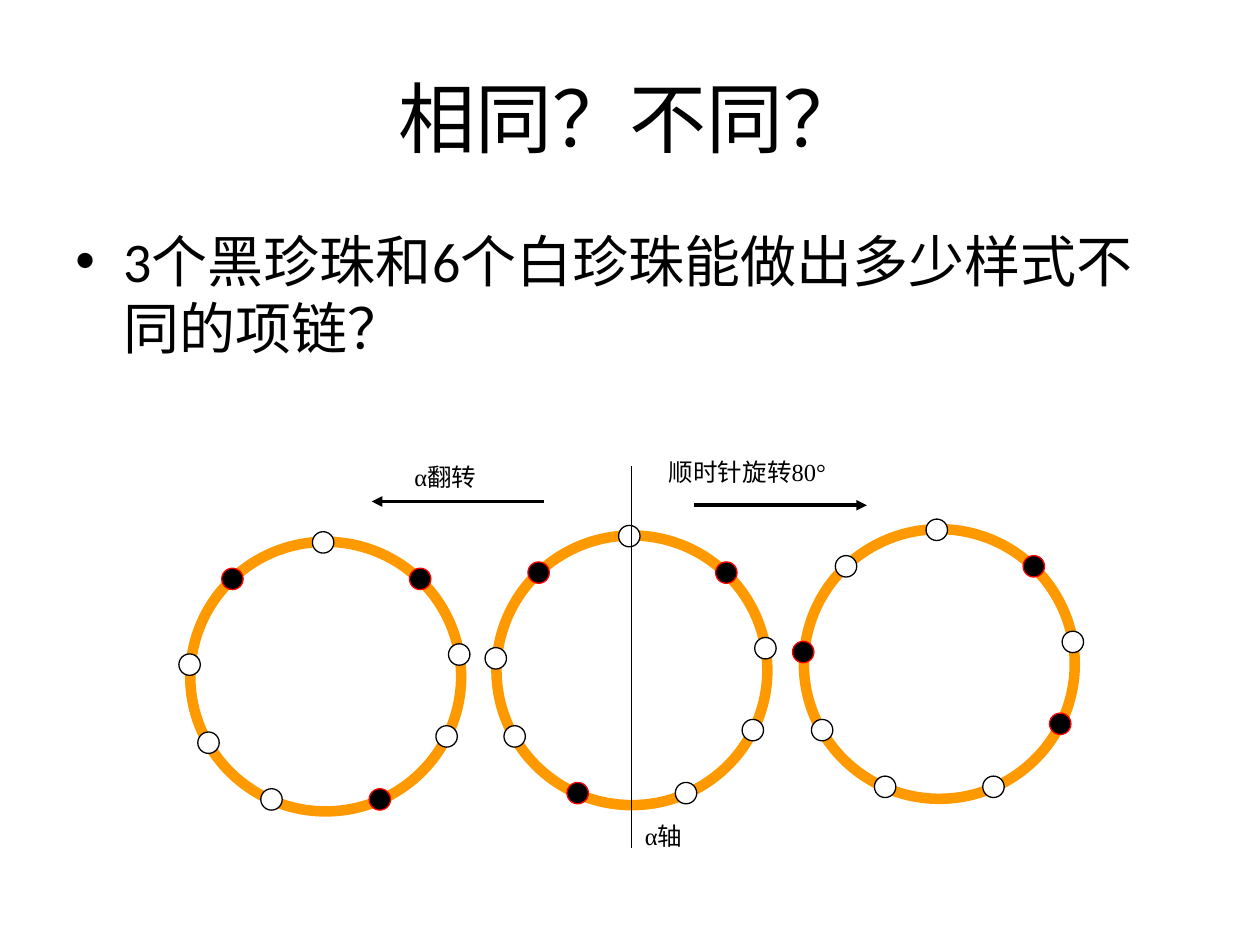
from lxml.etree import SubElement
from pptx import Presentation
from pptx.dml.color import RGBColor
from pptx.enum.shapes import MSO_CONNECTOR as Connector, MSO_SHAPE as Shape
from pptx.enum.text import MSO_ANCHOR as Anchor, PP_ALIGN as Align
from pptx.oxml.ns import qn
from pptx.util import Inches, Pt

TITLE = "相同？不同？"
QUESTION = ["3", "个黑珍珠和", "6", "个白珍珠能做出多少样式不同的项链？"]
LABELS = [
    (["α", "轴"], (5.02, 6.47, 0.76, 0.45)),
    (["α", "翻转"], (3.19, 3.62, 1.21, 0.42)),
    (["顺时针旋转", "80°"], (5.21, 3.58, 1.91, 0.4)),
]
NECKLACES = [
    ((3.94, 4.25), {1, 5, 8}),
    ((1.51, 4.3), {1, 4, 8}),
    ((6.38, 4.2), {1, 3, 7}),
]
PEARLS_CLOCKWISE = [
    (0.97, -0.08), (1.74, 0.21), (2.05, 0.81), (1.95, 1.46), (1.42, 1.96),
    (0.56, 1.96), (0.06, 1.51), (-0.09, 0.89), (0.25, 0.21),
]
RING_SIZE = (2.15, 2.14)
PEARL_SIZE = (0.17, 0.17)
AXIS = ((5.01, 3.7), (5.01, 6.73))
ARROWS = [((5.51, 4.01), (6.88, 4.01)), ((4.32, 3.98), (2.95, 3.98))]
BLACK, WHITE, RED, ORANGE = "000000", "FFFFFF", "FF0000", "FF9900"


def color(value):
    return RGBColor.from_string(value)


def add_text(page, place, spans, size, font, align, anchor=Anchor.TOP):
    box = page.shapes.add_textbox(*map(Inches, place))
    frame = box.text_frame
    frame.word_wrap = True
    frame.vertical_anchor = anchor
    para = frame.paragraphs[0]
    para.alignment = align
    for text in spans:
        span = para.add_run()
        span.text = text
        span.font.size = Pt(size)
        span.font.name = font
        span.font.color.rgb = color(BLACK)
    return para


def add_bullet(para):
    para.space_before = Pt(6.4)
    props = para._p.get_or_add_pPr()
    props.set("marL", str(Inches(0.38)))
    props.set("indent", str(Inches(-0.38)))
    SubElement(props, qn("a:buFont"), typeface="Arial")
    SubElement(props, qn("a:buChar"), char="•")


def add_circle(page, corner, size, fill, line, width):
    circle = page.shapes.add_shape(Shape.OVAL, *map(Inches, corner + size))
    circle.shadow.inherit = False
    circle.fill.solid()
    circle.fill.fore_color.rgb = color(fill)
    circle.line.color.rgb = color(line)
    circle.line.width = Pt(width)


def add_necklace(page, corner, black_pearls):
    add_circle(page, corner, RING_SIZE, WHITE, ORANGE, 6)
    for index, (right, down) in enumerate(PEARLS_CLOCKWISE):
        fill, line = (BLACK, RED) if index in black_pearls else (WHITE, BLACK)
        place = (corner[0] + right, corner[1] + down)
        add_circle(page, place, PEARL_SIZE, fill, line, 0.75)


def add_line(page, start, end, width, arrow=False):
    line = page.shapes.add_connector(
        Connector.STRAIGHT, *map(Inches, start + end))
    line.line.color.rgb = color(BLACK)
    line.line.width = Pt(width)
    if arrow:
        SubElement(line.line._get_or_add_ln(), qn("a:tailEnd"), type="triangle")
    SubElement(line._element.spPr, qn("a:effectLst"))


def main():
    """Build the slide on how many different necklaces nine pearls can make."""
    deck = Presentation()
    deck.slide_width, deck.slide_height = Inches(10), Inches(7.5)
    page = deck.slides.add_slide(deck.slide_layouts[6])

    add_text(page, (0.5, 0.3, 9, 1.25), [TITLE], 44, "Calibri",
             Align.CENTER, Anchor.MIDDLE)
    add_bullet(add_text(page, (0.5, 1.75, 9, 4.95), QUESTION, 32, "Calibri",
                        Align.LEFT))
    for corner, black_pearls in NECKLACES:
        add_necklace(page, corner, black_pearls)
    add_line(page, *AXIS, 0.75)
    for start, end in ARROWS:
        add_line(page, start, end, 2, arrow=True)
    for spans, place in LABELS:
        add_text(page, place, spans, 14, "Times New Roman", Align.JUSTIFY)

    deck.save("out.pptx")


if __name__ == "__main__":
    main()
